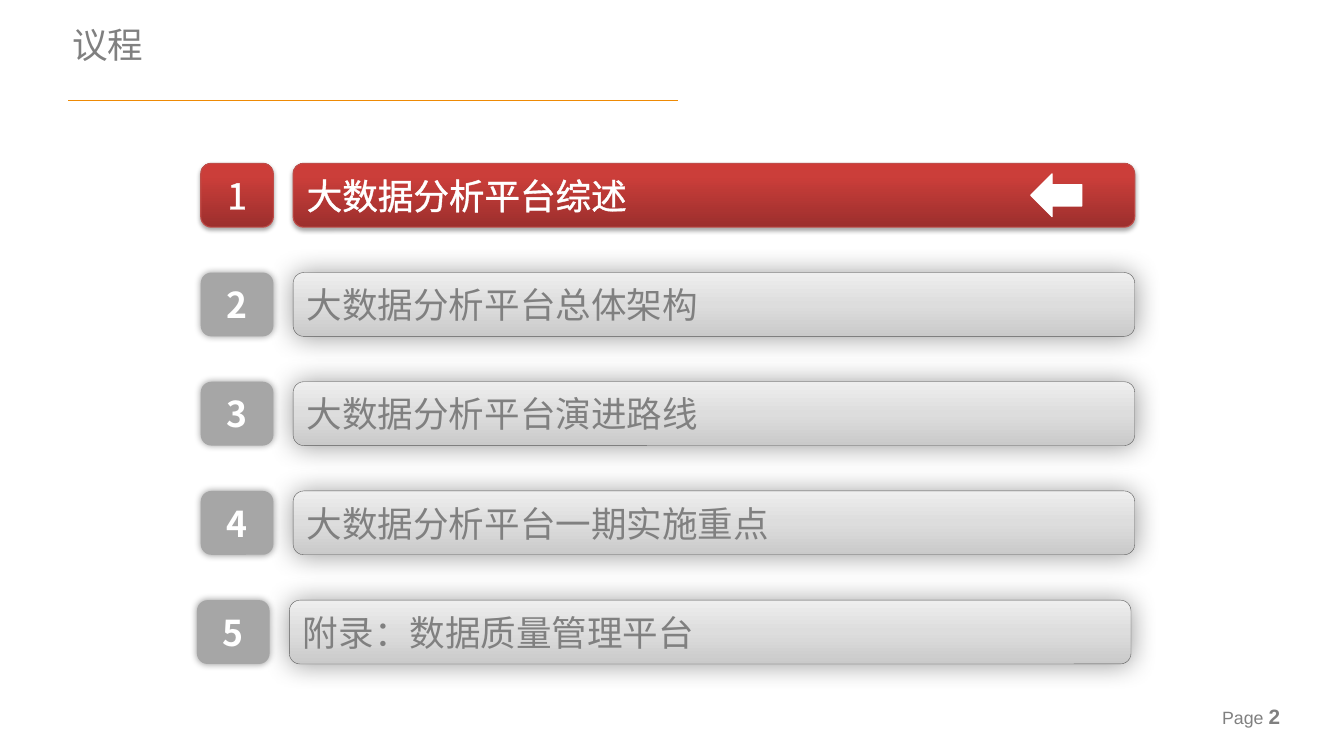
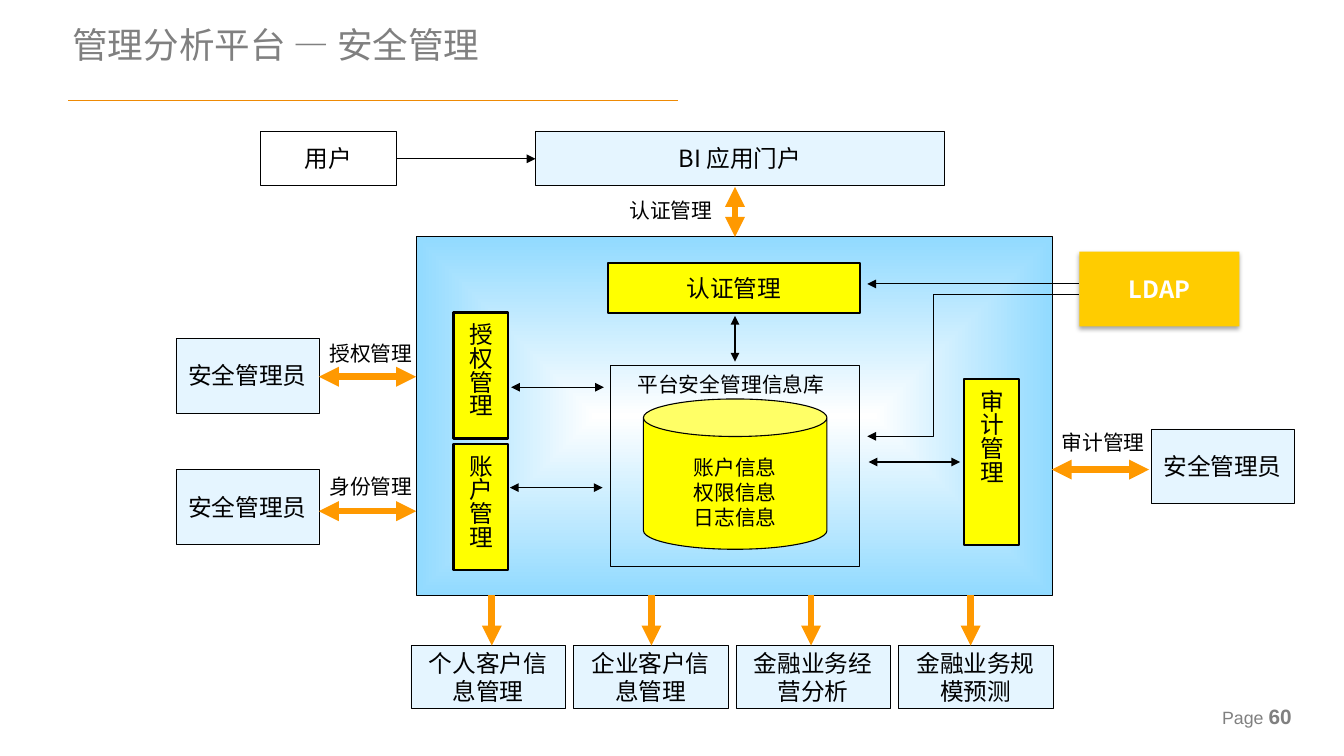
from lxml import etree
from pptx import Presentation
from pptx.dml.color import RGBColor
from pptx.enum.shapes import MSO_CONNECTOR, MSO_SHAPE
from pptx.enum.text import MSO_ANCHOR, MSO_AUTO_SIZE, PP_ALIGN
from pptx.oxml import parse_xml
from pptx.oxml.ns import nsdecls, qn
from pptx.util import Cm, Pt

CJK = "Noto Sans CJK SC"
COLORS = {
    "text": "000000", "white": "FFFFFF", "grey": "808080", "rule": "EE8A04",
    "red_edge": "BF4C48", "grey_edge": "595959", "badge": "A6A6A6",
    "pale": "E5F5FF", "yellow": "FFFF00", "gold": "FFCC00", "orange": "FF9900",
}
UPWARD = '<a:lin ang="16200000" scaled="0"/>'
FROM_CENTRE = ('<a:path path="shape"><a:fillToRect l="50000" t="50000" '
               'r="50000" b="50000"/></a:path>')
GRADIENTS = {
    "red_fade": ([(0, "9C2F2D"), (80, "CB3E3A"), (100, "CE3B37")], UPWARD),
    "grey_fade": ([(0, "CACACA"), (50, "DDDDDD"), (100, "EEEEEE")], UPWARD),
    "blue_glow": ([(0, "FFFFFF"), (100, "91DAFF")], FROM_CENTRE),
}
# opacity in percent, blur and distance in points, always straight down
DROP, HALO, SOFT = (35, 3.1, 1.8), (40, 18, 0), (40, 5, 0)


def write(tf, text, size, color, align=PP_ALIGN.CENTER, bold=False, font=CJK, outline=0):
    tf.word_wrap = True
    tf.text = text
    for p in tf.paragraphs:
        p.alignment = align
        p.line_spacing = Pt(round(size * 1.2, 1))
        for r in p.runs:
            r.font.size, r.font.bold, r.font.name = Pt(size), bold, font
            r.font.color.rgb = RGBColor.from_string(COLORS[color])
            rPr = r.font._element
            etree.SubElement(rPr, qn("a:ea")).set("typeface", font)
            if outline:
                rPr.insert(0, parse_xml(
                    f'<a:ln {nsdecls("a")} w="{Pt(outline)}"><a:solidFill>'
                    f'<a:srgbClr val="{COLORS[color]}"/></a:solidFill></a:ln>'))


def box(s, pos, fill=None, edge=None, weight=0.25, text="", size=16, color="text",
        kind=MSO_SHAPE.RECTANGLE, shadow=None, vertical=False, **style):
    """Add a shape at pos (left, top, width, height in cm) with its text."""
    sp = s.shapes.add_shape(kind, *map(Cm, pos))
    if fill in COLORS:
        sp.fill.solid()
        sp.fill.fore_color.rgb = RGBColor.from_string(COLORS[fill])
    else:
        sp.fill.background()
    if fill in GRADIENTS:
        stops, direction = GRADIENTS[fill]
        gs = "".join(f'<a:gs pos="{at * 1000}"><a:srgbClr val="{c}"/></a:gs>' for at, c in stops)
        spPr = sp._element.spPr
        spPr.replace(spPr.find(qn("a:noFill")), parse_xml(
            f'<a:gradFill {nsdecls("a")} rotWithShape="1"><a:gsLst>{gs}</a:gsLst>'
            f'{direction}</a:gradFill>'))
    if edge:
        sp.line.color.rgb = RGBColor.from_string(COLORS[edge])
        sp.line.width = Pt(weight)
    else:
        sp.line.fill.background()
    sp.shadow.inherit = False
    if shadow:
        alpha, blur, dist = shadow
        sp._element.spPr.find(qn("a:effectLst")).append(parse_xml(
            f'<a:outerShdw {nsdecls("a")} blurRad="{Pt(blur)}" dist="{Pt(dist)}" '
            f'dir="5400000" rotWithShape="0"><a:srgbClr val="000000">'
            f'<a:alpha val="{alpha * 1000}"/></a:srgbClr></a:outerShdw>'))
    tf = sp.text_frame
    tf.vertical_anchor = MSO_ANCHOR.MIDDLE
    if not fill:
        tf.margin_left = tf.margin_right = 0
    if vertical:
        sp._element.txBody.find(qn("a:bodyPr")).set("vert", "eaVert")
    if text:
        write(tf, text, size, color, **style)
    return sp


prs = Presentation()
prs.slide_width, prs.slide_height = Cm(32), Cm(18)
lines = []  # slide, from x, y, to x, y, colour, weight, arrowheads

# Title, rule and page number of each slide
for heading, page in [("议程", "2"), ("管理分析平台 — 安全管理", "60")]:
    s = prs.slides.add_slide(prs.slide_layouts[5])
    title = s.shapes.title
    title.left, title.top, title.width, title.height = Cm(1.47), Cm(0.41), Cm(22.58), Cm(1.04)
    tf = title.text_frame
    tf.auto_size = MSO_AUTO_SIZE.NONE
    tf.vertical_anchor = MSO_ANCHOR.TOP
    write(tf, heading, 24, "grey", PP_ALIGN.LEFT)
    lines.append((s, 1.63, 2.39, 16.15, 2.39, "rule", 0.75, ""))
    footer = box(s, (29.1, 16.76, 2.9, 0.66), text="Page ", size=12, color="grey",
                 align=PP_ALIGN.LEFT, font="Arial")
    r = footer.text_frame.paragraphs[0].add_run()
    r.text = page
    r.font.size, r.font.bold, r.font.name = Pt(14), True, "Arial"
    r.font.color.rgb = RGBColor.from_string(COLORS["grey"])

agenda, security = prs.slides

# Agenda
topics = ["大数据分析平台综述", "大数据分析平台总体架构", "大数据分析平台演进路线",
          "大数据分析平台一期实施重点", "附录：数据质量管理平台"]
active_style = dict(fill="red_fade", edge="red_edge", weight=0.75, shadow=DROP,
                    color="white", outline=1.45)
bar_style = dict(fill="grey_fade", edge="grey_edge", shadow=HALO, color="grey", outline=0.75)
badge_style = dict(fill="badge", shadow=SOFT, color="white", bold=True)
for i, topic in enumerate(topics):
    y = 3.89 + 2.6 * i
    shift = 0.09 if i == 4 else 0
    box(agenda, (6.98 - shift, y, 20.04, 1.52), text=topic, size=24, align=PP_ALIGN.LEFT,
        kind=MSO_SHAPE.ROUNDED_RECTANGLE, **(bar_style if i else active_style))
    box(agenda, (4.78 - shift, y, 1.73, 1.52), text=str(i + 1), size=24,
        kind=MSO_SHAPE.ROUNDED_RECTANGLE, **(badge_style if i else active_style))
box(agenda, (24.54, 4.14, 1.22, 1.02), "white", "white", 0.75, kind=MSO_SHAPE.LEFT_ARROW)

# Security: platform panel and what surrounds it
box(security, (9.91, 5.64, 15.16, 8.53), "blue_glow", "text", 0.75)
box(security, (6.2, 3.12, 3.23, 1.3), "white", "text", text="用户")
box(security, (12.75, 3.12, 9.73, 1.3), "pale", "text", text="BI 应用门户")
for x, y in [(4.19, 8.05), (4.19, 11.18), (27.41, 10.21)]:
    box(security, (x, y, 3.4, 1.78), "pale", "text", text="安全管理员")
for i, app in enumerate(["个人客户信息管理", "企业客户信息管理", "金融业务经营分析", "金融业务规模预测"]):
    box(security, (9.78 + 3.87 * i, 15.37, 3.68, 1.5), "pale", "text", text=app)
    x = 11.71 + 3.8 * i
    lines.append((security, x, 14.17, x, 15.37, "orange", 4.5, "tail"))
box(security, (25.7, 5.99, 3.81, 1.78), "gold", text="LDAP", color="white", bold=True, shadow=DROP)

# Security: modules and repository inside the panel
box(security, (14.48, 6.27, 5.99, 1.19), "yellow", "text", 1.5, "认证管理")
for x, y, h, module in [(10.8, 7.44, 3, "授权管理"), (10.8, 10.57, 3, "账户管理"),
                        (22.96, 9.02, 3.96, "审计管理")]:
    box(security, (x, y, 1.3, h), "yellow", "text", 1.5, module, vertical=True)
box(security, (14.53, 8.71, 5.94, 4.78), None, "text", 0.75)
box(security, (15.32, 9.5, 4.37, 3.58), "yellow", "text", 0.75, kind=MSO_SHAPE.CAN)
for pos, label in [((14.33, 8.71, 6.15, 0.86), "平台安全管理信息库"),
                   ((15.32, 10.69, 4.37, 2.06), "账户信息\n权限信息\n日志信息"),
                   ((7.59, 7.98, 2.49, 0.86), "授权管理"),
                   ((7.59, 11.15, 2.49, 0.86), "身份管理"),
                   ((14.73, 4.57, 2.49, 0.86), "认证管理"),
                   ((25.02, 10.11, 2.49, 0.86), "审计管理")]:
    box(security, pos, text=label, size=14)

for ends in [(9.91, 8.97, 7.59, 8.97), (9.91, 12.17, 7.59, 12.17),
             (17.5, 4.45, 17.5, 5.64), (27.36, 11.18, 25.04, 11.18)]:
    lines.append((security, *ends, "orange", 4.5, "head tail"))
for ends in [(12.17, 9.22, 14.38, 9.22), (12.14, 11.61, 14.35, 11.61),
             (17.5, 7.52, 17.5, 8.61), (20.68, 11, 22.86, 11)]:
    lines.append((security, *ends, "text", 0.75, "head tail"))
lines += [(security, 9.43, 3.78, 12.75, 3.78, "text", 0.75, "tail"),
          (security, 20.65, 6.76, 25.7, 6.76, "text", 0.75, "head"),
          (security, 20.65, 10.39, 25.7, 7.01, "text", 0.75, "head")]

# Straight lines, and an elbow where both coordinates change
for s, x1, y1, x2, y2, color, weight, heads in lines:
    bent = x1 != x2 and y1 != y2
    kind = MSO_CONNECTOR.ELBOW if bent else MSO_CONNECTOR.STRAIGHT
    cxn = s.shapes.add_connector(kind, Cm(x1), Cm(y1), Cm(x2), Cm(y2))
    cxn.line.color.rgb = RGBColor.from_string(COLORS[color])
    cxn.line.width = Pt(weight)
    for end in heads.split():
        etree.SubElement(cxn.line._get_or_add_ln(), qn(f"a:{end}End")).set("type", "triangle")
    spPr = cxn._element.spPr
    etree.SubElement(spPr, qn("a:effectLst"))
    if bent:
        gd = etree.SubElement(spPr.find(qn("a:prstGeom")).find(qn("a:avLst")), qn("a:gd"))
        gd.set("name", "adj1")
        gd.set("fmla", "val 31300")

prs.save("out.pptx")
